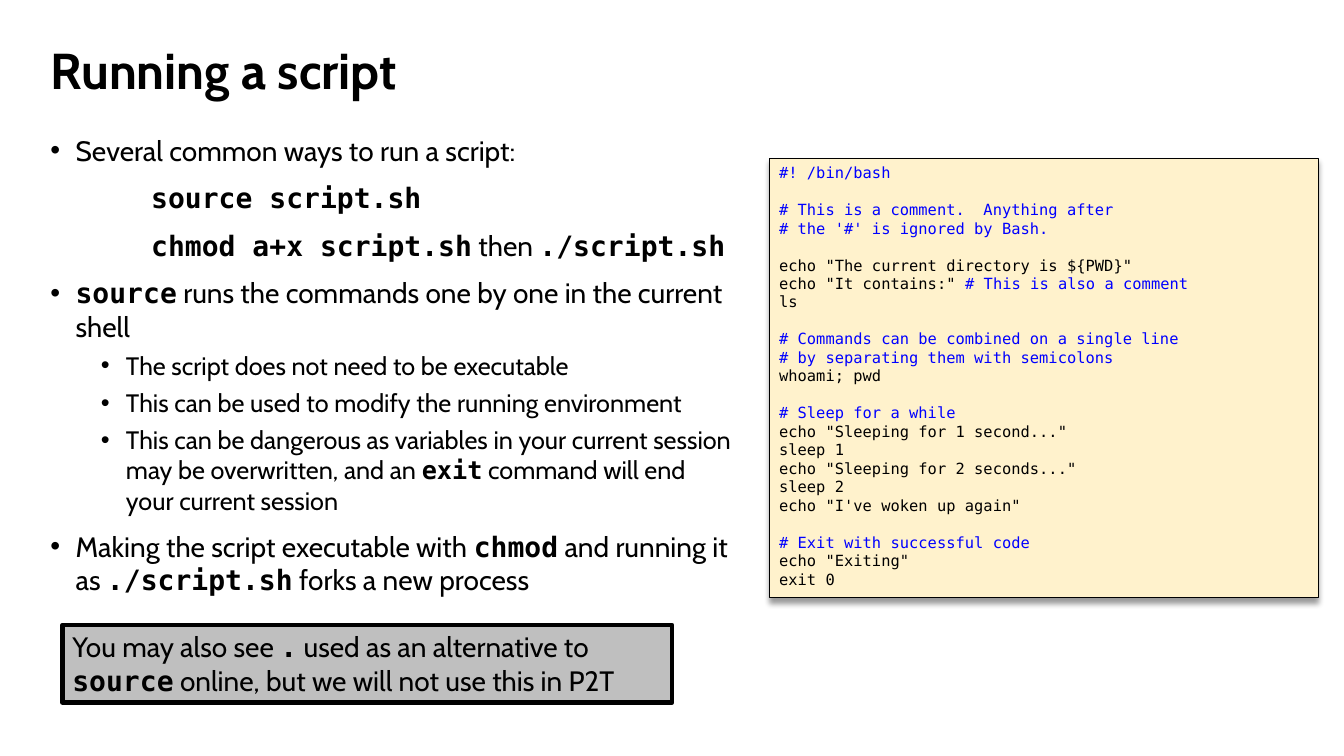
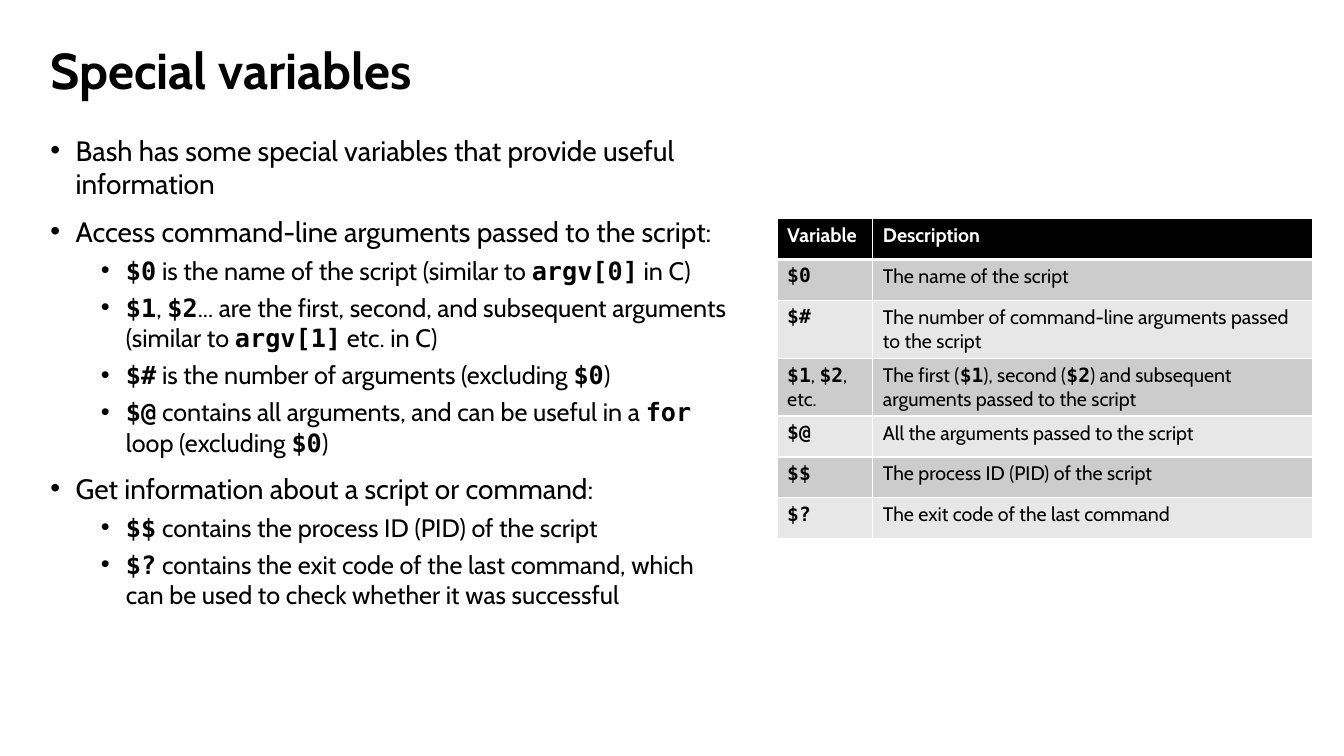
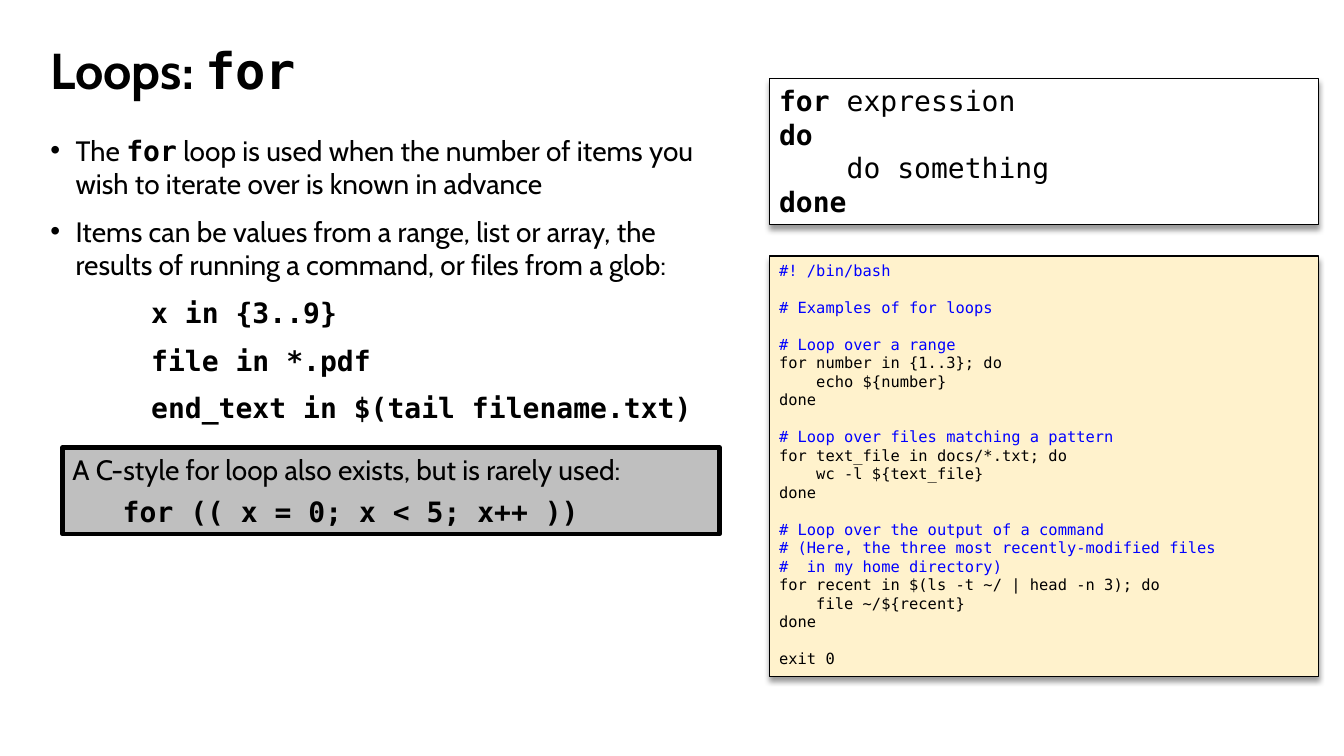
from lxml import etree
from pptx import Presentation
from pptx.dml.color import RGBColor
from pptx.enum.shapes import MSO_SHAPE
from pptx.enum.text import MSO_ANCHOR, MSO_AUTO_SIZE, PP_ALIGN
from pptx.oxml.ns import qn
from pptx.util import Pt

RECTANGLE = MSO_SHAPE.RECTANGLE
TOP, MIDDLE = MSO_ANCHOR.TOP, MSO_ANCHOR.MIDDLE
LEFT = PP_ALIGN.LEFT
NO_FIT = MSO_AUTO_SIZE.NONE

PROSE, MONO = "Cabin", "DejaVu Sans Mono"
BLACK, WHITE, BLUE = "000000", "FFFFFF", "0000FF"
CREAM, GREY = "FFF2CC", "BFBFBF"
BANDS = ["E7E7E7", "CCCCCC"]
TITLE_BOX = (28.8, 28.8, 828, 46.8)
BODY_BOX = (28.8, 91.4, 502.6, 394.6)
PANEL_LEFT, PANEL_WIDTH = 549.4, 392.4
NOTE_LEFT = 44.6
BLANK_LINE = 13.2
ROW_HEIGHT = 29.2

STYLES = {
    "title": dict(size=36, bold=True, format=dict(line_spacing=0.9)),
    "point": dict(size=20, margin=18, hang=18, format=dict(space_before=Pt(10))),
    "command": dict(size=20, margin=72, format=dict(space_before=Pt(10))),
    "detail": dict(size=18, margin=54, hang=18,
                   format=dict(level=1, space_before=Pt(5))),
    "note": dict(size=20),
    "note_lead": dict(size=20, format=dict(space_after=Pt(6))),
    "note_code": dict(size=20, margin=36),
    "syntax": dict(size=20, font=MONO),
    "code": dict(size=11, font=MONO),
    "header": dict(size=14, bold=True, color=WHITE),
    "cell": dict(size=14),
}


def rgb(value):
    return RGBColor.from_string(value)


def apply(target, values):
    for name, value in values.items():
        setattr(target, name, value)


def place(item, box):
    apply(item, dict(zip(("left", "top", "width", "height"), map(Pt, box))))


def add_run(paragraph, text, font, size, bold, color):
    run = paragraph.add_run()
    run.text = text
    apply(run.font, dict(name=font, size=Pt(size), bold=bold))
    run.font.color.rgb = rgb(color)


def style_paragraph(paragraph, style, first):
    hang = style.get("hang", 0)
    properties = paragraph._p.get_or_add_pPr()
    properties.set("marL", str(Pt(style.get("margin", 0))))
    properties.set("indent", str(-Pt(hang)))
    if hang:
        etree.SubElement(properties, qn("a:buFont")).set("typeface", "Arial")
        etree.SubElement(properties, qn("a:buChar")).set("char", "•")
    else:
        etree.SubElement(properties, qn("a:buNone"))
    values = dict(alignment=LEFT, space_before=Pt(0)) | style.get("format", {})
    if first:
        values["space_before"] = Pt(0)
    apply(paragraph, values)


def write(frame, lines):
    for index, (kind, markup) in enumerate(lines):
        style = STYLES[kind]
        paragraph = frame.add_paragraph() if index else frame.paragraphs[0]
        style_paragraph(paragraph, style, index == 0)
        for part, text in enumerate(markup.split("`")):
            if text:
                marked = part % 2 == 1
                add_run(paragraph, text,
                        MONO if marked else style.get("font", PROSE),
                        style["size"], marked or style.get("bold", False),
                        style.get("color", BLACK))


def write_code(frame, code):
    gap, paragraph = 0, None
    for line in code.strip().split("\n"):
        if not line:
            gap = BLANK_LINE
            continue
        paragraph = frame.add_paragraph() if paragraph else frame.paragraphs[0]
        style_paragraph(paragraph, STYLES["code"], False)
        paragraph.space_before = Pt(gap)
        gap = 0
        start = 0 if line.startswith("#") else line.find("# ")
        if start < 0:
            start = len(line)
        for text, color in ((line[:start], BLACK), (line[start:], BLUE)):
            if text:
                add_run(paragraph, text, MONO, STYLES["code"]["size"], False, color)


def add_content_slide(deck, title, points, box=BODY_BOX):
    slide = deck.slides.add_slide(deck.slide_layouts[1])
    heading, body = slide.shapes.title, slide.placeholders[1]
    for holder, area, anchor, lines in (
        (heading, TITLE_BOX, MIDDLE, [("title", title)]),
        (body, box, TOP, points),
    ):
        place(holder, area)
        apply(holder.text_frame,
              dict(word_wrap=True, auto_size=NO_FIT, vertical_anchor=anchor))
        write(holder.text_frame, lines)
    return slide


def add_panel(slide, box, fill, outline):
    panel = slide.shapes.add_shape(RECTANGLE, *map(Pt, box))
    panel.shadow.inherit = False
    panel.fill.solid()
    panel.fill.fore_color.rgb = rgb(fill)
    panel.line.color.rgb = rgb(BLACK)
    panel.line.width = Pt(outline)
    apply(panel.text_frame,
          dict(word_wrap=True, auto_size=NO_FIT, vertical_anchor=TOP))
    return panel


def add_shadowed_panel(slide, top, height, fill):
    panel = add_panel(slide, (PANEL_LEFT, top, PANEL_WIDTH, height), fill, 0.75)
    effects = panel._element.spPr.find(qn("a:effectLst"))
    shadow = etree.SubElement(effects, qn("a:outerShdw"), blurRad=str(Pt(4)),
                              dist=str(Pt(3)), dir="5400000", algn="t",
                              rotWithShape="0")
    tint = etree.SubElement(shadow, qn("a:srgbClr"), val=BLACK)
    etree.SubElement(tint, qn("a:alpha"), val="40000")
    return panel.text_frame


def add_code(slide, top, height, code):
    write_code(add_shadowed_panel(slide, top, height, CREAM), code)


def add_syntax(slide, top, height, lines):
    write(add_shadowed_panel(slide, top, height, WHITE),
          [("syntax", line) for line in lines])


def add_note(slide, top, width, height, lines):
    note = add_panel(slide, (NOTE_LEFT, top, width, height), GREY, 3)
    write(note.text_frame, lines)


def set_borders(cell, widths):
    properties = cell._tc.get_or_add_tcPr()
    for side, width in widths.items():
        border = etree.SubElement(properties, qn(f"a:{side}"), w=str(Pt(width)))
        paint = etree.SubElement(border, qn("a:solidFill"))
        etree.SubElement(paint, qn("a:srgbClr"), val=WHITE)


def add_variable_table(slide, left, top, widths, rows):
    table = slide.shapes.add_table(
        len(rows), len(widths), Pt(left), Pt(top),
        Pt(sum(widths)), Pt(ROW_HEIGHT * len(rows))).table
    table.horz_banding = False
    for column, width in zip(table.columns, widths):
        column.width = Pt(width)
    for index, texts in enumerate(rows):
        table.rows[index].height = Pt(ROW_HEIGHT)
        for cell, text in zip(table.rows[index].cells, texts):
            set_borders(cell, dict(lnL=1, lnR=1, lnT=3 if index == 1 else 1,
                                   lnB=1 if index else 3))
            cell.fill.solid()
            cell.fill.fore_color.rgb = rgb(BANDS[index % 2] if index else BLACK)
            write(cell.text_frame, [("cell" if index else "header", text)])


RUNNING_POINTS = [
    ("point", "Several common ways to run a script:"),
    ("command", "`source script.sh`"),
    ("command", "`chmod a+x script.sh` then `./script.sh`"),
    ("point", "`source` runs the commands one by one in the current shell"),
    ("detail", "The script does not need to be executable"),
    ("detail", "This can be used to modify the running environment"),
    ("detail", "This can be dangerous as variables in your current session may be "
               "overwritten, and an `exit` command will end your current session"),
    ("point", "Making the script executable with `chmod` and running it as "
              "`./script.sh` forks a new process"),
]

RUNNING_CODE = """
#! /bin/bash

# This is a comment.  Anything after
# the '#' is ignored by Bash.

echo "The current directory is ${PWD}"
echo "It contains:" # This is also a comment
ls

# Commands can be combined on a single line
# by separating them with semicolons
whoami; pwd

# Sleep for a while
echo "Sleeping for 1 second..."
sleep 1
echo "Sleeping for 2 seconds..."
sleep 2
echo "I've woken up again"

# Exit with successful code
echo "Exiting"
exit 0
"""

VARIABLE_POINTS = [
    ("point", "Bash has some special variables that provide useful information"),
    ("point", "Access command-line arguments passed to the script:"),
    ("detail", "`$0` is the name of the script (similar to `argv[0]` in C)"),
    ("detail", "`$1`, `$2`... are the first, second, and subsequent arguments "
               "(similar to `argv[1]` etc. in C)"),
    ("detail", "`$#` is the number of arguments (excluding `$0`)"),
    ("detail", "`$@` contains all arguments, and can be useful in a `for` loop "
               "(excluding `$0`)"),
    ("point", "Get information about a script or command:"),
    ("detail", "`$$` contains the process ID (PID) of the script"),
    ("detail", "`$?` contains the exit code of the last command, which can be used "
               "to check whether it was successful"),
]

VARIABLE_ROWS = [
    ("Variable", "Description"),
    ("`$0`", "The name of the script"),
    ("`$#`", "The number of command-line arguments passed to the script"),
    ("`$1`, `$2`, etc.",
     "The first (`$1`), second (`$2`) and subsequent arguments passed to the script"),
    ("`$@`", "All the arguments passed to the script"),
    ("`$$`", "The process ID (PID) of the script"),
    ("`$?`", "The exit code of the last command"),
]

LOOP_POINTS = [
    ("point", "The `for` loop is used when the number of items you wish to iterate "
              "over is known in advance"),
    ("point", "Items can be values from a range, list or array, the results of "
              "running a command, or files from a glob:"),
    ("command", "`x in {3..9}`"),
    ("command", "`file in *.pdf`"),
    ("command", "`end_text in $(tail filename.txt)`"),
]

LOOP_CODE = """
#! /bin/bash

# Examples of for loops

# Loop over a range
for number in {1..3}; do
    echo ${number}
done

# Loop over files matching a pattern
for text_file in docs/*.txt; do
    wc -l ${text_file}
done

# Loop over the output of a command
# (Here, the three most recently-modified files
#  in my home directory)
for recent in $(ls -t ~/ | head -n 3); do
    file ~/${recent}
done

exit 0
"""


def main():
    deck = Presentation()
    deck.slide_width, deck.slide_height = Pt(960), Pt(540)

    running = add_content_slide(deck, "Running a script", RUNNING_POINTS,
                                (*BODY_BOX[:3], 427))
    add_code(running, 113, 314, RUNNING_CODE)
    add_note(running, 446.4, 435.6, 55.4, [
        ("note", "You may also see `.` used as an alternative to `source` online, "
                 "but we will not use this in P2T")])

    variables = add_content_slide(deck, "Special variables", VARIABLE_POINTS)
    add_variable_table(variables, 555.1, 156.2, (68.4, 313.9), VARIABLE_ROWS)

    loops = add_content_slide(deck, "Loops: `for`", LOOP_POINTS)
    add_syntax(loops, 56.2, 104.4,
               ["`for `expression", "`do`", "    do something", "`done`"])
    add_code(loops, 182.9, 300.2, LOOP_CODE)
    add_note(loops, 319.7, 469.4, 61.9, [
        ("note_lead", "A C-style for loop also exists, but is rarely used:"),
        ("note_code", "`for (( x = 0; x < 5; x++ ))`")])

    deck.save("out.pptx")


if __name__ == "__main__":
    main()
